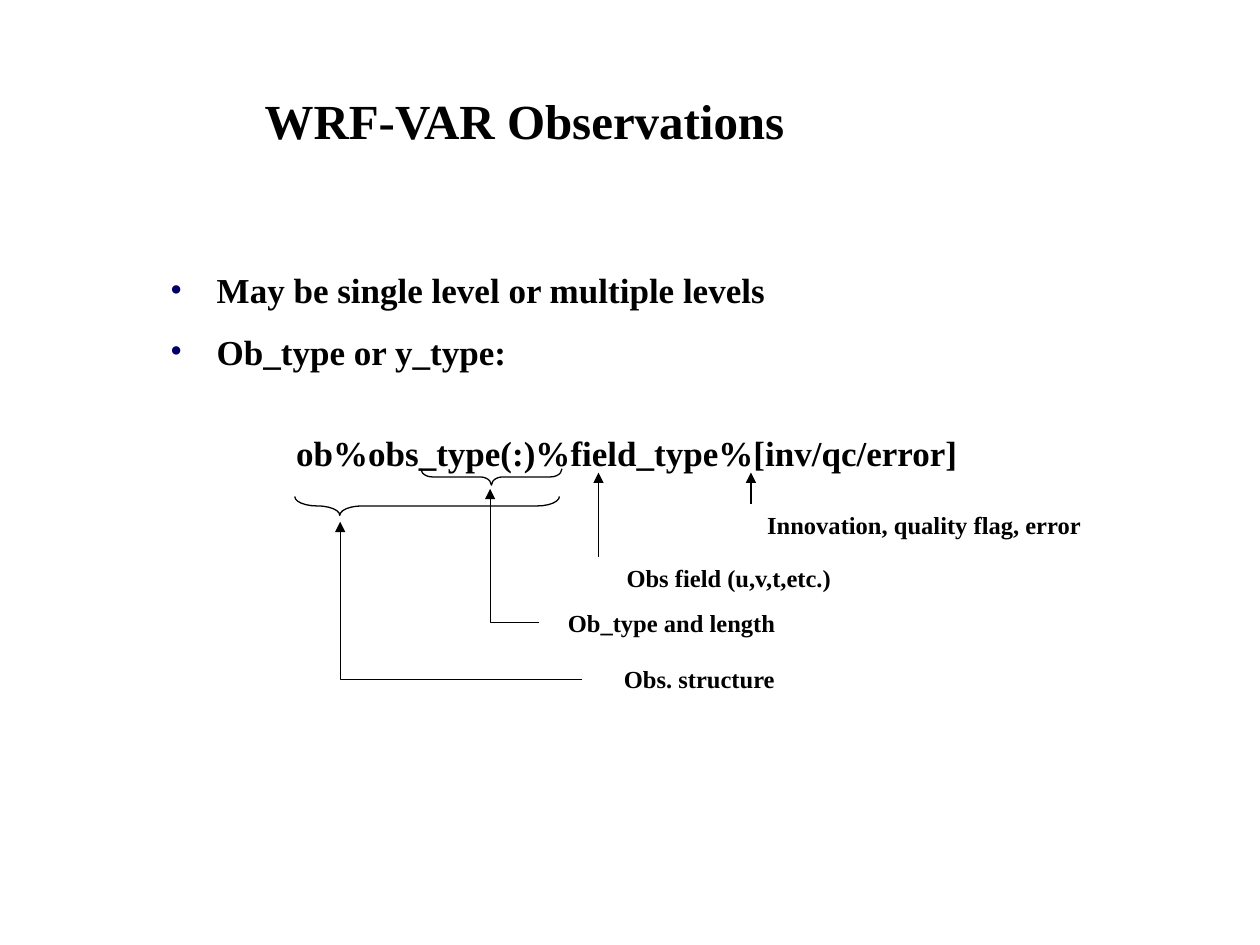
from pptx import Presentation
from pptx.dml.color import RGBColor
from pptx.enum.shapes import MSO_CONNECTOR as Connector, MSO_SHAPE as Shape
from pptx.enum.text import MSO_ANCHOR as Anchor, MSO_AUTO_SIZE as AutoSize, PP_ALIGN as Align
from pptx.oxml.ns import qn
from pptx.util import Inches, Pt
from lxml.etree import SubElement

FONT = "Times New Roman"
BLACK, NAVY = "000000", "000066"


def color(value):
    return RGBColor.from_string(value)


def add_span(para, text, size):
    span = para.add_run()
    span.text = text
    span.font.name, span.font.size, span.font.bold = FONT, Pt(size), True
    span.font.color.rgb = color(BLACK)


def place(shape, box):
    shape.left, shape.top, shape.width, shape.height = map(Inches, box)
    shape.text_frame.auto_size = AutoSize.NONE


def set_bullet(para, char, indent, hanging):
    props = para._p.get_or_add_pPr()
    props.set("marL", str(Inches(indent)))
    props.set("indent", str(-Inches(hanging)))
    if char:
        fill = SubElement(props, qn("a:buClr"))
        SubElement(fill, qn("a:srgbClr"), val=NAVY)
        SubElement(props, qn("a:buFont"), typeface=FONT)
        SubElement(props, qn("a:buChar"), char=char)
    else:
        SubElement(props, qn("a:buNone"))


def style_line(shape, arrow=False):
    shape.line.color.rgb = color(BLACK)
    shape.line.width = Pt(0.75)
    if arrow:
        line = shape._element.spPr.find(qn("a:ln"))
        SubElement(line, qn("a:tailEnd"), type="triangle")


def add_title(page, box):
    title = page.shapes.title
    place(title, box)
    title.text_frame.vertical_anchor = Anchor.MIDDLE
    para = title.text_frame.paragraphs[0]
    para.alignment = Align.LEFT
    add_span(para, "WRF-VAR Observations", 28)


def add_body(page, box):
    body = page.placeholders[1]
    place(body, box)
    frame = body.text_frame
    # Bulleted points
    points = ["May be single level or multiple levels", "Ob_type or y_type:"]
    for index, text in enumerate(points):
        para = frame.add_paragraph() if index else frame.paragraphs[0]
        set_bullet(para, "•", 0.37, 0.37)
        para.line_spacing = 1.25
        para.space_before = Pt(5 if index else 0)
        add_span(para, text, 20)
    # Expression explained by the diagram
    para = frame.add_paragraph()
    para.level = 2
    set_bullet(para, None, 1.25, 0.25)
    para.space_before = Pt(34)
    add_span(para, "ob%obs_type(:)%field_type%[inv/qc/error]", 20)


def add_brace(page, box, curve, tip):
    """Brace opening upwards; a left brace is turned a quarter about its centre."""
    left, top, width, height = box
    shift = (width - height) / 2
    brace = page.shapes.add_shape(Shape.LEFT_BRACE, Inches(left + shift), Inches(top - shift),
                                  Inches(height), Inches(width))
    brace.rotation = 270
    brace.adjustments[0], brace.adjustments[1] = curve, tip
    brace.shadow.inherit = False
    brace.fill.background()
    style_line(brace)


def add_label(page, text, box):
    label = page.shapes.add_textbox(*map(Inches, box))
    label.text_frame.word_wrap = False
    label.text_frame.auto_size = AutoSize.SHAPE_TO_FIT_TEXT
    para = label.text_frame.paragraphs[0]
    para.alignment = Align.CENTER
    add_span(para, text, 14)


def add_elbow(page, box):
    left, top, width, height = box
    corner = (Inches(left), Inches(top + height))
    builder = page.shapes.build_freeform(Inches(left + width), corner[1])
    builder.add_line_segments([corner, (corner[0], Inches(top))], close=False)
    elbow = builder.convert_to_shape()
    elbow.shadow.inherit = False
    elbow.fill.background()
    style_line(elbow, arrow=True)


def add_up_arrow(page, x, bottom, top):
    arrow = page.shapes.add_connector(Connector.STRAIGHT, Inches(x), Inches(bottom),
                                      Inches(x), Inches(top))
    style_line(arrow, arrow=True)
    SubElement(arrow._element.spPr, qn("a:effectLst"))


def add_diagram(page, box):
    left, top, width, height = box

    # Braces under the structure and type parts
    add_brace(page, (left, top + 0.19, 2.1, 0.15), 1.17, 0.17)
    add_brace(page, (left + 1, top - 0.03, 1.12, 0.13), 0.7, 0.5)

    # Labels: text, offset from the left and top, width with room for one line
    labels = [
        ("Obs. structure", 2.5, 1.47, 1.42),
        ("Ob_type and length", 2.05, 1.03, 1.88),
        ("Obs field (u,v,t,etc.)", 2.52, 0.67, 1.85),
        ("Innovation, quality flag, error", 3.64, 0.25, 2.71),
    ]
    for text, x, y, label_width in labels:
        add_label(page, text, (left + x, top + y, label_width, 0.34))

    # Arrows from the labels to the expression
    add_elbow(page, (left + 0.36, top + 0.39, 1.92, height - 0.56))
    add_elbow(page, (left + 1.55, top + 0.13, 0.39, 1.06))
    add_up_arrow(page, left + 2.41, top + 0.67, top)
    add_up_arrow(page, left + 3.62, top + 0.25, top)


def main():
    deck = Presentation()
    deck.slide_width, deck.slide_height = Inches(10), Inches(7.5)
    page = deck.slides.add_slide(deck.slide_layouts[1])
    add_title(page, (2, 0.33, 7.58, 1.25))
    add_body(page, (1.25, 2, 8.33, 4.75))
    add_diagram(page, (2.34, 3.75, 6.34, 1.81))
    deck.save("out.pptx")


if __name__ == "__main__":
    main()
